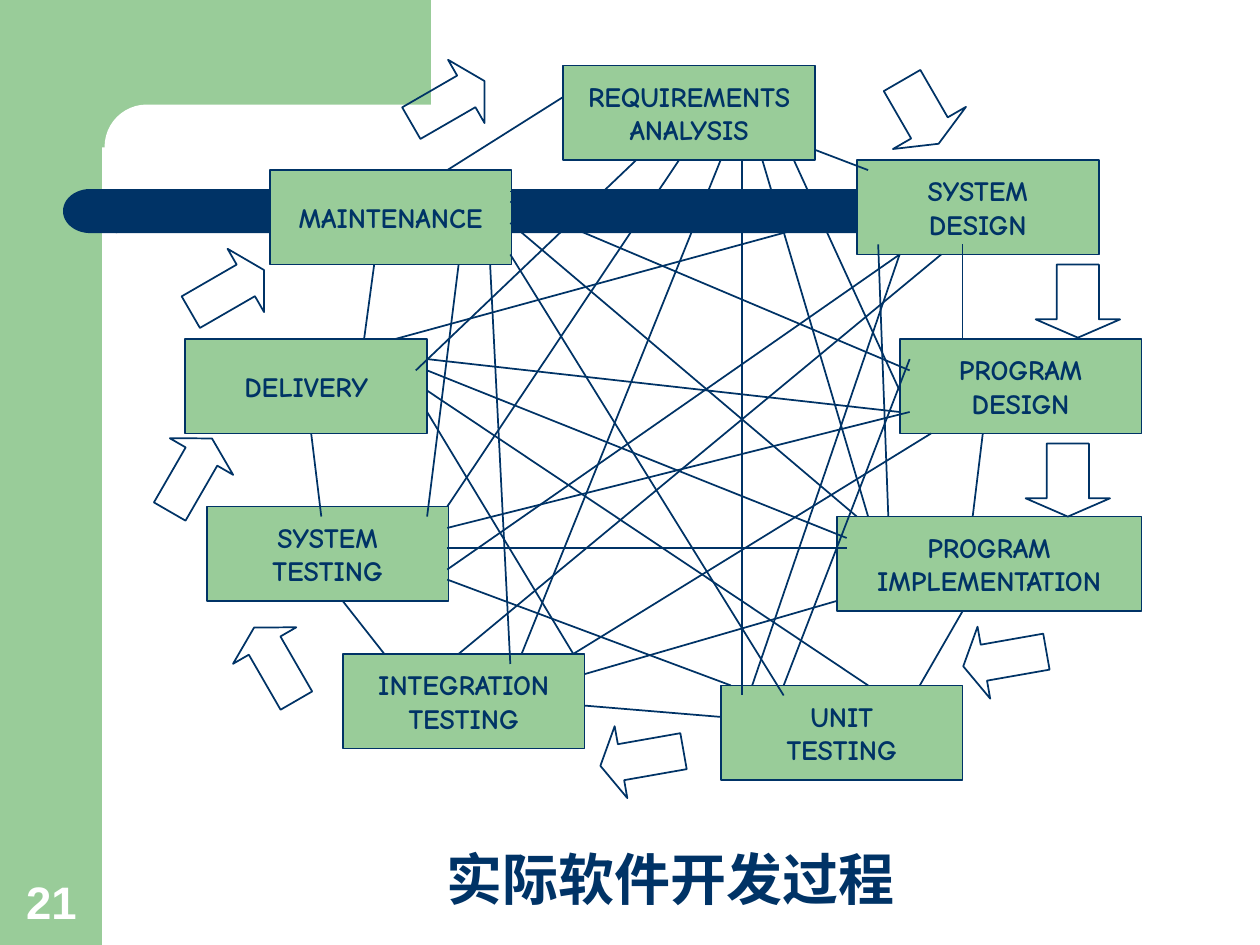
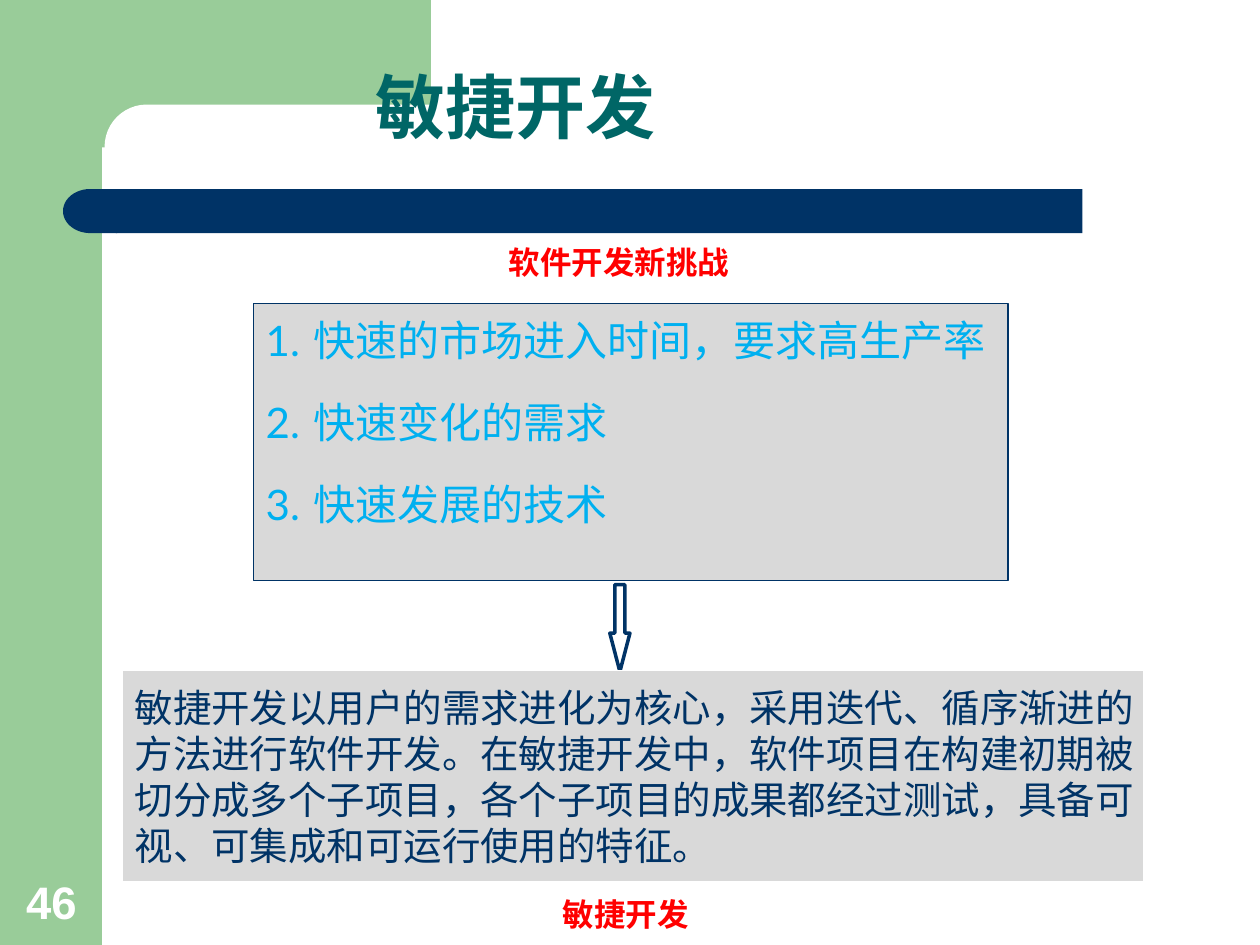
from lxml.etree import SubElement
from pptx import Presentation
from pptx.dml.color import RGBColor
from pptx.enum.shapes import MSO_CONNECTOR, MSO_SHAPE
from pptx.enum.text import MSO_ANCHOR, MSO_AUTO_SIZE, PP_ALIGN
from pptx.oxml.ns import qn
from pptx.util import Inches, Pt

GREEN, NAVY, TEAL, WHITE = "99CC99", "003366", "006666", "FFFFFF"
GREY, BLUE, RED = "D9D9D9", "00B0F0", "FF0000"
NODE_TEXT = {"name": "Comic Neue", "size": Pt(16), "bold": True}
NUMBER_TEXT = {"name": "Arial", "size": Pt(26), "bold": True}
LABEL_TEXT = {"name": "Noto Sans CJK SC", "size": Pt(18), "bold": True}
LIST_TEXT = {"name": "Lato", "size": Pt(24)}
BODY_TEXT = {"name": "Lato", "size": Pt(22)}


def draw(page, kind, at, fill=None, line=None, width=1, turn=0, adjust=()):
    box = page.shapes.add_shape(kind, *[Inches(value) for value in at])
    box.shadow.inherit = False
    box.rotation = turn
    for index, value in enumerate(adjust):
        box.adjustments[index] = value
    if fill:
        box.fill.solid()
        box.fill.fore_color.rgb = RGBColor.from_string(fill)
    else:
        box.fill.background()
    if line:
        box.line.color.rgb = RGBColor.from_string(line)
        box.line.width = Pt(width)
    else:
        box.line.fill.background()
    return box


def write(box, lines, style, color, align=PP_ALIGN.LEFT, anchor=MSO_ANCHOR.MIDDLE, wrap=False):
    frame = box.text_frame
    frame.auto_size = MSO_AUTO_SIZE.NONE
    frame.word_wrap = wrap
    frame.vertical_anchor = anchor
    for index, line in enumerate(lines):
        para = frame.add_paragraph() if index else frame.paragraphs[0]
        para.alignment = align
        span = para.add_run()
        span.text = line
        for name, value in style.items():
            setattr(span.font, name, value)
        span.font.color.rgb = RGBColor.from_string(color)
        SubElement(span._r.get_or_add_rPr(), qn("a:ea"), typeface=style["name"])
    return frame


deck = Presentation()
deck.slide_width, deck.slide_height = Inches(10), Inches(7.5)

bands = [
    (MSO_SHAPE.RECTANGLE, (0, 0, 0.81, 7.5), GREEN, 0, ()),
    (MSO_SHAPE.RECTANGLE, (0.73, 0, 2.69, 1.17), GREEN, 0, ()),
    (MSO_SHAPE.ROUNDED_RECTANGLE, (0.83, 0.83, 5.58, 0.67), WHITE, 0, (0.5,)),
    (MSO_SHAPE.ROUNDED_RECTANGLE, (0.92, 1.5, 7.67, 0.35), NAVY, 0, (0,)),
    (MSO_SHAPE.FLOWCHART_DELAY, (0.5, 1.5, 0.43, 0.35), NAVY, 180, ()),
]
headings = [
    ("21", "实际软件开发过程", (1, 6.54, 8.65, 0.75), 32, NAVY, PP_ALIGN.CENTER, 0.1),
    ("46", "敏捷开发", (0.5, 0.13, 8.25, 1.1), 40, TEAL, PP_ALIGN.LEFT, 2.48),
]
pages = []
for number, heading, at, size, color, align, indent in headings:
    page = deck.slides.add_slide(deck.slide_layouts[5])
    for kind, place, fill, turn, adjust in bands:
        draw(page, kind, place, fill, turn=turn, adjust=adjust)
    number_box = page.shapes.add_textbox(Inches(0.11), Inches(6.88), Inches(0.64), Inches(0.54))
    write(number_box, [number], NUMBER_TEXT, WHITE, anchor=MSO_ANCHOR.BOTTOM)

    title = page.shapes.title
    title.left, title.top, title.width, title.height = [Inches(value) for value in at]
    title_style = {"name": "Arial", "size": Pt(size), "bold": True}
    frame = write(title, [heading], title_style, color, align, MSO_ANCHOR.BOTTOM, True)
    frame.margin_left = Inches(indent)
    frame.paragraphs[0].line_spacing = 0.9
    page.shapes._spTree.append(title._element)
    pages.append(page)

process, agile = pages

stages = [
    (4.47, 0.52, 2, "REQUIREMENTS", "ANALYSIS"),
    (2.14, 1.35, 1.92, "MAINTENANCE"),
    (6.8, 1.27, 1.92, "SYSTEM", "DESIGN"),
    (7.14, 2.69, 1.92, "PROGRAM", "DESIGN"),
    (6.64, 4.1, 2.42, "PROGRAM", "IMPLEMENTATION"),
    (1.47, 2.69, 1.92, "DELIVERY"),
    (1.64, 4.02, 1.92, "SYSTEM", "TESTING"),
    (2.72, 5.19, 1.92, "INTEGRATION", "TESTING"),
    (5.72, 5.44, 1.92, "UNIT", "TESTING"),
]
for left, top, width, *words in stages:
    box = draw(process, MSO_SHAPE.RECTANGLE, (left, top, width, 0.75), GREEN, NAVY)
    write(box, words, NODE_TEXT, NAVY, PP_ALIGN.CENTER)

right, down = (MSO_SHAPE.RIGHT_ARROW, 0.286), (MSO_SHAPE.DOWN_ARROW, 0.25)
arrows = [
    (right, 3.22, 0.52, 330),
    (right, 1.47, 2.02, 330),
    (right, 1.18, 3.48, 300),
    (right, 1.85, 4.98, 240),
    (right, 4.76, 5.73, 170),
    (right, 7.64, 4.94, 170),
    (down, 8.14, 3.52, 0),
    (down, 8.22, 2.1, 0),
    (down, 6.97, 0.6, 330),
]
for (kind, head), left, top, turn in arrows:
    draw(process, kind, (left, top, 0.67, 0.58), line=NAVY, turn=turn, adjust=(0.5, head))

links = [
    (4.47, 0.77, 3.55, 1.35), (5.05, 1.27, 3.3, 2.94), (5.39, 1.27, 3.55, 4.02),
    (5.72, 1.27, 4.14, 5.19), (5.89, 1.27, 5.89, 5.52), (6.05, 1.27, 6.89, 4.1),
    (6.3, 1.27, 7.14, 3.1), (6.47, 1.19, 6.89, 1.35), (2.97, 2.1, 2.89, 2.69),
    (3.64, 2.1, 3.39, 4.1), (3.89, 2.1, 4.05, 5.27), (4.05, 2.02, 6.22, 5.52),
    (4.05, 1.77, 6.8, 4.1), (4.05, 1.6, 7.22, 2.94), (4.05, 1.52, 6.8, 1.52),
    (2.47, 3.44, 2.55, 4.1), (3.39, 3.27, 4.55, 5.19), (3.39, 3.1, 6.89, 5.44),
    (3.39, 2.94, 6.72, 4.27), (3.39, 2.85, 7.14, 3.27), (3.14, 2.69, 6.8, 1.69),
    (2.72, 4.77, 3.05, 5.19), (3.55, 4.6, 5.8, 5.44), (3.55, 4.35, 6.72, 4.35),
    (3.55, 4.19, 7.22, 3.27), (3.55, 4.52, 7.14, 2.02), (4.64, 5.6, 5.72, 5.69),
    (4.64, 5.35, 6.64, 4.77), (4.55, 5.19, 7.39, 3.44), (3.64, 5.19, 7.47, 2.02),
    (7.3, 5.44, 7.64, 4.85), (6.22, 5.44, 7.22, 2.85), (5.97, 5.44, 7.14, 2.02),
    (7.72, 4.1, 7.8, 3.44), (7.05, 4.1, 6.97, 1.94), (7.64, 2.69, 7.64, 1.94),
]
for ends in links:
    link = process.shapes.add_connector(MSO_CONNECTOR.STRAIGHT, *[Inches(value) for value in ends])
    link.line.color.rgb = RGBColor.from_string(NAVY)
    link.line.width = Pt(1)
    SubElement(link._element.spPr, qn("a:effectLst"))

challenges = ["快速的市场进入时间，要求高生产率", "快速变化的需求", "快速发展的技术"]
box = draw(agile, MSO_SHAPE.RECTANGLE, (2.01, 2.41, 5.99, 2.2), GREY, NAVY, 0.75)
frame = write(box, challenges, LIST_TEXT, BLUE, anchor=MSO_ANCHOR.TOP)
for index, para in enumerate(frame.paragraphs):
    settings = para._p.get_or_add_pPr()
    settings.set("marL", str(Inches(0.38)))
    settings.set("indent", str(-Inches(0.38)))
    para.line_spacing = 1.1
    para.space_before = Pt(10.5 if index else 0)
    para.space_after = Pt(4.5)
    SubElement(SubElement(settings, qn("a:buClr")), qn("a:srgbClr"), val=BLUE)
    SubElement(settings, qn("a:buFont"), typeface="Lato")
    SubElement(settings, qn("a:buAutoNum"), type="arabicPeriod")

draw(agile, MSO_SHAPE.DOWN_ARROW, (4.84, 4.64, 0.16, 0.69), line=NAVY, width=2, adjust=(0.5, 1.91))

summary = [
    "敏捷开发以用户的需求进化为核心，采用迭代、循序渐进的",
    "方法进行软件开发。在敏捷开发中，软件项目在构建初期被",
    "切分成多个子项目，各个子项目的成果都经过测试，具备可",
    "视、可集成和可运行使用的特征。",
]
notes = [
    ((3.94, 1.91, 2.16, 0.34), WHITE, ["软件开发新挑战"], LABEL_TEXT, RED),
    ((0.97, 5.32, 8.11, 1.68), GREY, summary, BODY_TEXT, NAVY),
    ((4.37, 7.08, 2.17, 0.34), WHITE, ["敏捷开发"], LABEL_TEXT, RED),
]
for at, fill, lines, style, color in notes:
    box = draw(agile, MSO_SHAPE.RECTANGLE, at, fill, WHITE, 0.75)
    write(box, lines, style, color)

deck.save("out.pptx")
